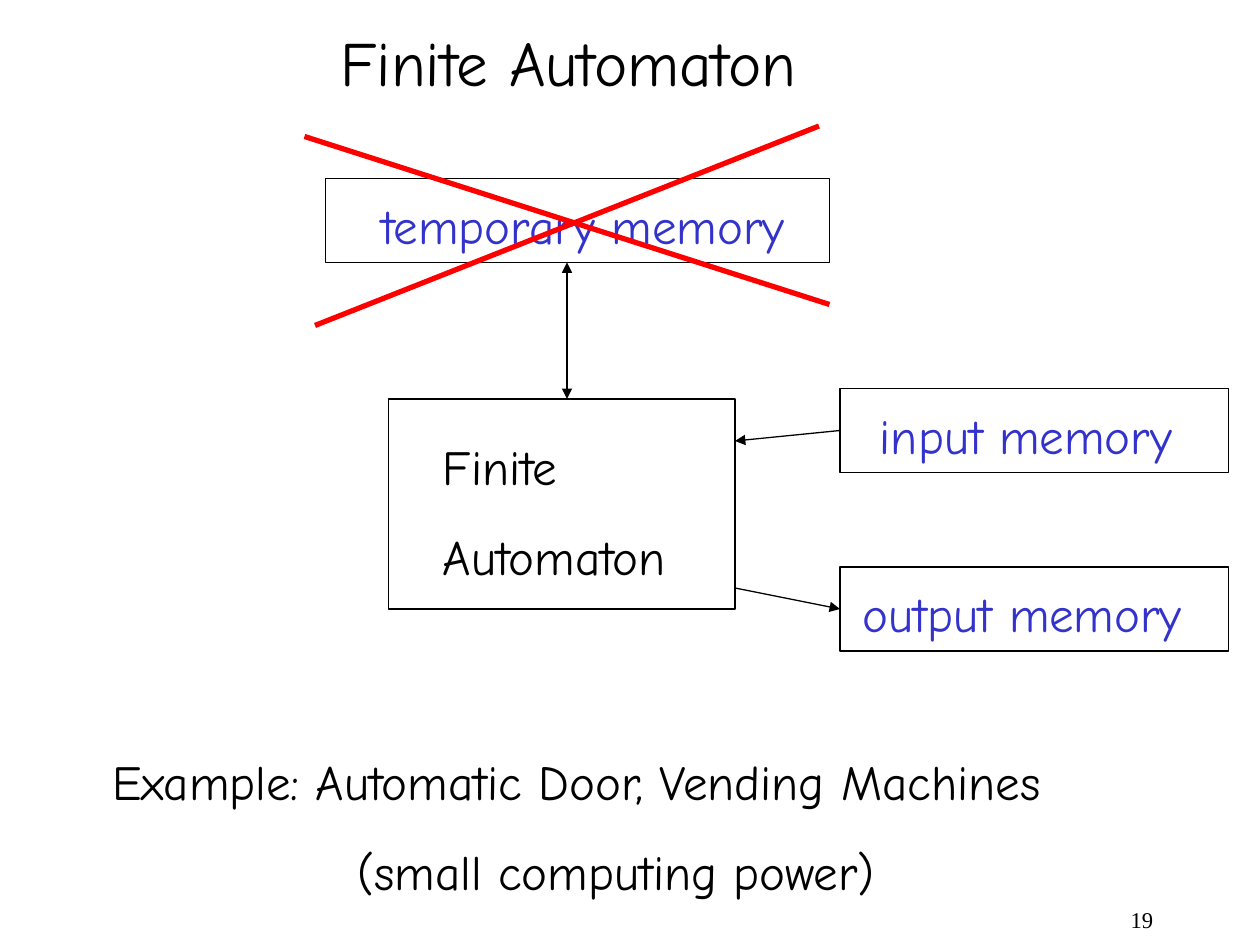
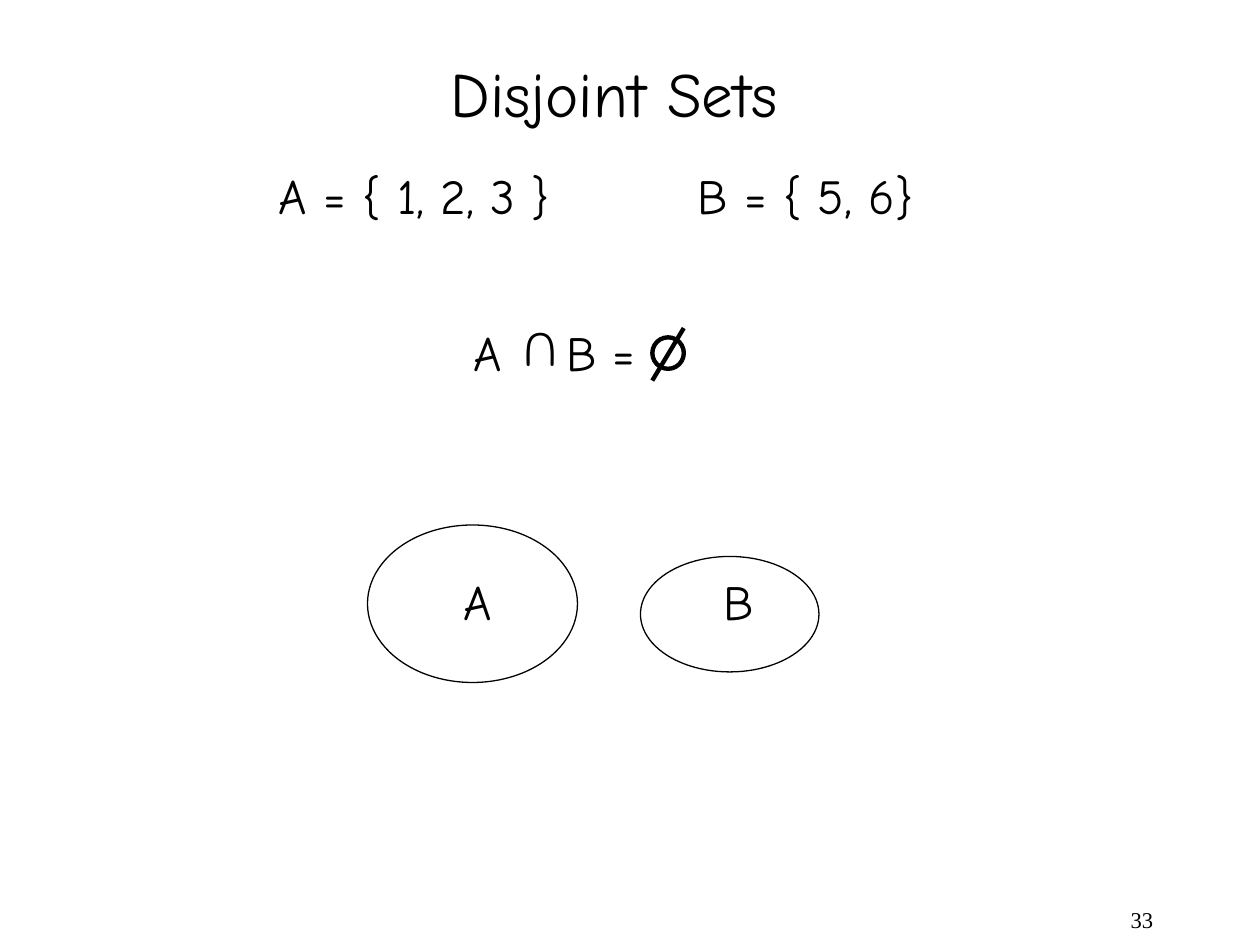
"""Build two slides: a finite automaton diagram and a pair of disjoint sets."""
from dataclasses import dataclass
from typing import NamedTuple

from lxml import etree
from pptx import Presentation
from pptx.dml.color import RGBColor
from pptx.enum.shapes import MSO_CONNECTOR, MSO_SHAPE
from pptx.enum.text import MSO_AUTO_SIZE, PP_ALIGN
from pptx.oxml.ns import qn
from pptx.util import Emu, Pt

LINE = MSO_CONNECTOR.STRAIGHT
RECT = MSO_SHAPE.RECTANGLE
OVAL = MSO_SHAPE.OVAL
LEFT = PP_ALIGN.LEFT
RIGHT = PP_ALIGN.RIGHT
GROW = MSO_AUTO_SIZE.SHAPE_TO_FIT_TEXT
FIXED = MSO_AUTO_SIZE.NONE
SCALE = 9525
ROW = 55
PAIR = 123


@dataclass(frozen=True)
class Theme:
    ink: str = "000000"
    accent: str = "3333CC"
    strike: str = "FF0000"
    font: str = "Comic Neue"
    serif: str = "Times New Roman"
    title: float = 36
    body: float = 28
    small: float = 12.9
    gap: float = 17.5
    thin: float = 0.75
    mark: float = 2.5
    thick: float = 3


THEME = Theme()


class Box(NamedTuple):
    x: int
    y: int
    w: int
    h: int


class Frame(NamedTuple):
    kind: int
    box: Box
    width: float = THEME.thin


class Label(NamedTuple):
    text: str
    box: Box
    color: str = THEME.ink


class Stroke(NamedTuple):
    start: tuple[int, int]
    end: tuple[int, int]
    color: str = THEME.ink
    width: float = THEME.thin
    heads: tuple[str, ...] = ()


def px(n: int) -> Emu:
    return Emu(n * SCALE)


def add_text(slide, text: str, box: Box, *, color: str = THEME.ink,
             size: float = THEME.body, font: str = THEME.font,
             align=LEFT, space: float | None = None, wrap: bool = False,
             grow: bool = True, turn: int = 0, tab: int = 0,
             indents: tuple[int, ...] = ()) -> None:
    shape = slide.shapes.add_textbox(*map(px, box))
    shape.rotation = turn
    frame = shape.text_frame
    frame.word_wrap = wrap
    frame.auto_size = GROW if grow else FIXED
    for i, line in enumerate(text.split("\n")):
        para = frame.add_paragraph() if i else frame.paragraphs[0]
        para.alignment = align
        props = para._p.get_or_add_pPr()
        if tab:
            stops = etree.SubElement(props, qn("a:tabLst"))
            etree.SubElement(stops, qn("a:tab"), pos=str(px(tab)), algn="l")
        if i < len(indents):
            props.set("marL", str(px(indents[i])))
        if i:
            para.space_before = Pt(THEME.gap)
        if space:
            para.line_spacing = space
        run = para.add_run()
        run.text = line
        run.font.name = font
        run.font.size = Pt(size)
        run.font.color.rgb = RGBColor.from_string(color)


def add_frame(slide, item: Frame) -> None:
    shape = slide.shapes.add_shape(item.kind, *map(px, item.box))
    shape.shadow.inherit = False
    shape.fill.background()
    shape.line.color.rgb = RGBColor.from_string(THEME.ink)
    shape.line.width = Pt(item.width)


def add_stroke(slide, item: Stroke) -> None:
    shape = slide.shapes.add_connector(LINE, *map(px, item.start + item.end))
    shape.line.color.rgb = RGBColor.from_string(item.color)
    shape.line.width = Pt(item.width)
    for head in item.heads:
        etree.SubElement(shape.line._ln, qn(f"a:{head}"), type="triangle")
    etree.SubElement(shape._element.spPr, qn("a:effectLst"))


def add_page(deck, title: str, box: Box, number: int):
    slide = deck.slides.add_slide(deck.slide_layouts[6])
    add_text(slide, str(number), Box(688, 688, 200, 32), size=THEME.small,
             font=THEME.serif, align=RIGHT, space=0.9, wrap=True, grow=False)
    add_text(slide, title, box, size=THEME.title)
    return slide


def draw(slide, frames: list[Frame], labels: list[Label],
         strokes: list[Stroke]) -> None:
    for frame in frames:
        add_frame(slide, frame)
    for label in labels:
        add_text(slide, label.text, label.box, color=label.color)
    for stroke in strokes:
        add_stroke(slide, stroke)


def build_machine(deck) -> None:
    slide = add_page(deck, "Finite Automaton", Box(250, 13, 374, 67), 19)
    frames = [
        Frame(RECT, Box(248, 136, 384, 64)),
        Frame(RECT, Box(640, 296, 296, 64)),
        Frame(RECT, Box(640, 432, 296, 64)),
        Frame(RECT, Box(296, 304, 264, 160)),
    ]
    labels = [
        Label("temporary memory", Box(281, 144, 330, ROW), THEME.accent),
        Label("input memory", Box(661, 304, 244, ROW), THEME.accent),
        Label("output memory", Box(648, 440, 264, ROW), THEME.accent),
        Label("Finite\nAutomaton", Box(328, 328, 193, PAIR)),
    ]
    strokes = [
        Stroke((432, 200), (432, 304), heads=("headEnd", "tailEnd")),
        Stroke((560, 336), (640, 328), heads=("headEnd",)),
        Stroke((560, 448), (640, 464), heads=("tailEnd",)),
        Stroke((232, 104), (632, 232), THEME.strike, THEME.thick),
        Stroke((240, 248), (624, 96), THEME.strike, THEME.thick),
    ]
    draw(slide, frames, labels, strokes)
    add_text(slide, "Example: Automatic Door, Vending Machines\n"
             "(small computing power)", Box(76, 568, 771, PAIR),
             wrap=True, indents=(0, 187))


def build_sets(deck) -> None:
    slide = add_page(deck, "Disjoint Sets", Box(334, 37, 272, 67), 33)
    add_text(slide, "A = { 1, 2, 3 }\tB = { 5, 6}", Box(203, 121, 515, ROW),
             wrap=True, tab=319)
    add_text(slide, "A\tB =", Box(351, 241, 180, ROW), wrap=True, tab=71)
    add_text(slide, "U", Box(386, 241, 48, ROW), wrap=True, turn=180)
    frames = [
        Frame(OVAL, Box(497, 257, 24, 24), THEME.mark),
        Frame(OVAL, Box(280, 400, 160, 120)),
        Frame(OVAL, Box(488, 424, 136, 88)),
    ]
    labels = [
        Label("A", Box(344, 431, 42, ROW)),
        Label("B", Box(542, 431, 44, ROW)),
    ]
    strokes = [Stroke((521, 250), (497, 290), width=THEME.mark)]
    draw(slide, frames, labels, strokes)


def main() -> None:
    deck = Presentation()
    deck.slide_width, deck.slide_height = px(960), px(720)
    build_machine(deck)
    build_sets(deck)
    deck.save("out.pptx")


if __name__ == "__main__":
    main()
